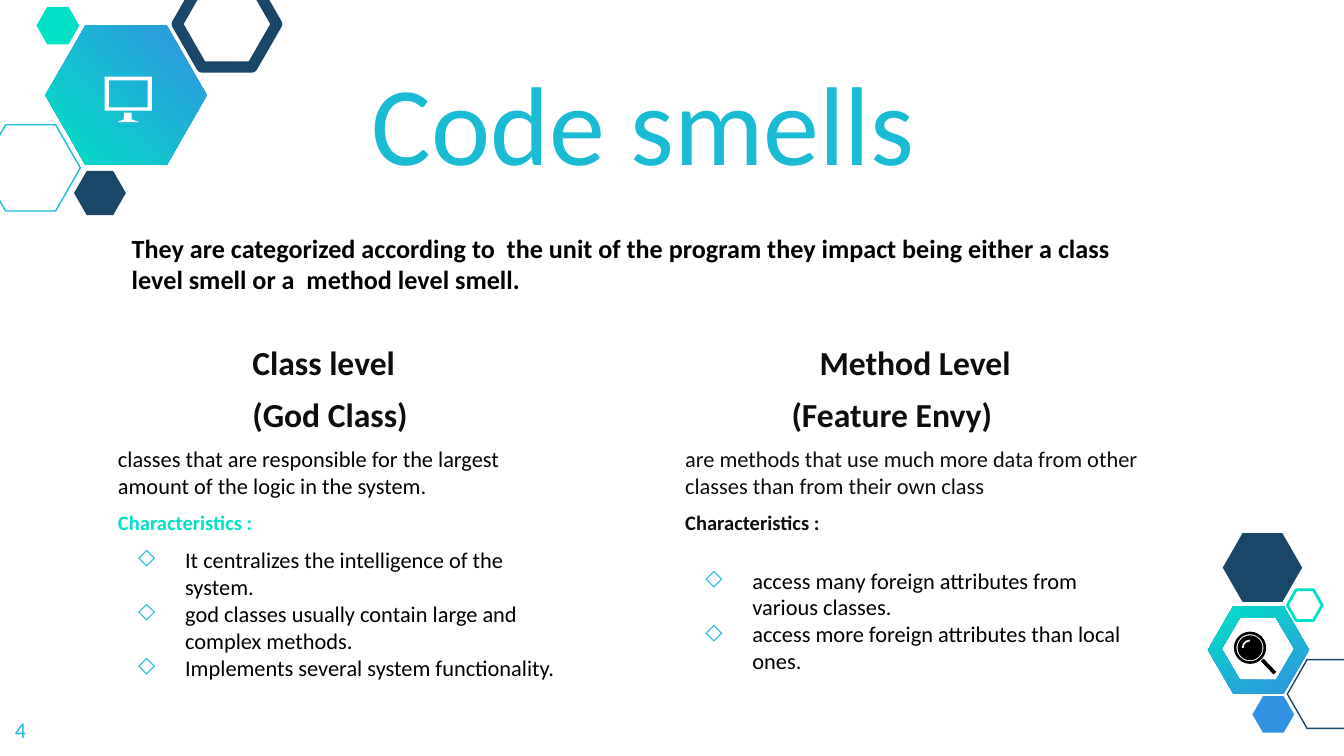
import pptx
import pptx.dml.color
import pptx.enum.shapes
import pptx.oxml.ns
import pptx.util
from lxml import etree
from pptx.util import Cm

RGBColor = pptx.dml.color.RGBColor
SHAPE = pptx.enum.shapes.MSO_SHAPE
BLACK = RGBColor(0x00, 0x00, 0x00)
INK = RGBColor(0x0D, 0x0D, 0x0D)
WHITE = RGBColor(0xFF, 0xFF, 0xFF)
NAVY = RGBColor(0x18, 0x47, 0x69)
CYAN = RGBColor(0x19, 0xBB, 0xD5)
MINT = RGBColor(0x00, 0xE1, 0xC6)
BLUE = RGBColor(0x32, 0x92, 0xE1)
FONT = "Calibri"


def paint(shape, fill=None, line=None, weight=0.75, angle=None):
    """Apply a solid, gradient or empty fill and an optional outline."""
    shape.shadow.inherit = False
    if angle is not None:
        shape.fill.gradient()
        shape.fill.gradient_angle = angle
        for stop, color in zip(shape.fill.gradient_stops, (BLUE, MINT)):
            stop.color.rgb = color
    elif fill is None:
        shape.fill.background()
    else:
        shape.fill.solid()
        shape.fill.fore_color.rgb = fill
    if line is None:
        shape.line.fill.background()
    else:
        shape.line.color.rgb = line
        shape.line.width = pptx.util.Pt(weight)


def add_preset(slide, kind, left, top, width, height, adjustments=(), **style):
    """Add a painted preset shape, measured in centimetres."""
    shape = slide.shapes.add_shape(kind, Cm(left), Cm(top), Cm(width), Cm(height))
    for index, value in enumerate(adjustments):
        shape.adjustments[index] = value
    paint(shape, **style)


def add_hexagon(slide, left, top, width, height, **style):
    """Add a regular flat-topped hexagon."""
    add_preset(slide, SHAPE.HEXAGON, left, top, width, height, (0.287,), **style)


def add_outline(slide, left, top, contours, **style):
    """Add a freeform whose contours are relative to the given corner."""
    contours = [[(Cm(left + x), Cm(top + y)) for x, y in contour] for contour in contours]
    builder = slide.shapes.build_freeform(*contours[0][0])
    for index, contour in enumerate(contours):
        if index:
            builder.move_to(*contour[0])
        builder.add_line_segments(contour[1:], close=True)
    paint(builder.convert_to_shape(), **style)


def hexagon_points(left, top, width, height):
    """Return the corners of a flat-topped hexagon."""
    steps = ((0, 0.5), (0.25, 0), (0.75, 0), (1, 0.5), (0.75, 1), (0.25, 1))
    return [(left + x * width, top + y * height) for x, y in steps]


def rectangle_points(left, top, right, bottom):
    """Return the corners of a rectangle."""
    return [(left, top), (right, top), (right, bottom), (left, bottom)]


def add_monitor(slide, left, top):
    """Draw the white monitor icon."""
    frame = [rectangle_points(0, 0, 0.89, 0.64), rectangle_points(0.08, 0.07, 0.81, 0.58)]
    stand = [(0.36, 0.68), (0.51, 0.68), (0.51, 0.81), (0.66, 0.86),
             (0.23, 0.86), (0.36, 0.81)]
    add_outline(slide, left, top, frame, fill=WHITE)
    add_outline(slide, left, top, [stand], fill=WHITE)


def add_magnifier(slide, left, top):
    """Draw the black magnifier icon."""
    handle = [(0.56, 0.51), (0.51, 0.56), (0.75, 0.81), (0.8, 0.76)]
    add_preset(slide, SHAPE.DONUT, left, top, 0.61, 0.61, (0.08,), fill=BLACK)
    add_preset(slide, SHAPE.OVAL, left + 0.07, top + 0.07, 0.47, 0.47, fill=BLACK)
    add_preset(slide, SHAPE.BLOCK_ARC, left + 0.15, top + 0.15, 0.31, 0.31,
               (108, 162, 0.11), fill=WHITE)
    add_outline(slide, left, top, [handle], fill=BLACK)


def add_top_cluster(slide, left, top):
    """Draw the hexagons of the upper left corner."""
    add_hexagon(slide, left + 0.86, top + 0.48, 3.05, 2.64, angle=225)
    add_hexagon(slide, left - 0.36, top + 2.36, 1.88, 1.63, line=CYAN)
    add_hexagon(slide, left + 1.4, top + 3.23, 0.98, 0.84, fill=NAVY)
    add_hexagon(slide, left + 3.35, top - 0.36, 1.88, 1.63, line=NAVY, weight=6)
    add_hexagon(slide, left + 0.69, top + 0.13, 0.81, 0.71, fill=MINT)
    add_monitor(slide, left + 1.98, top + 1.45)


def add_bottom_cluster(slide, left, top):
    """Draw the hexagons of the lower right corner."""
    ring = [hexagon_points(0.03, 1.46, 1.91, 1.65), hexagon_points(0.29, 1.68, 1.37, 1.17)]
    add_outline(slide, left, top, ring, angle=116)
    add_hexagon(slide, left + 1.53, top + 2.47, 1.5, 1.3, line=NAVY)
    add_hexagon(slide, left + 0.87, top + 3.16, 0.79, 0.69, fill=BLUE)
    add_hexagon(slide, left + 0.31, top + 0.08, 1.5, 1.3, fill=NAVY)
    add_hexagon(slide, left + 1.53, top + 1.15, 0.66, 0.58, line=MINT, weight=1.5)
    add_magnifier(slide, left + 0.52, top + 1.94)


def add_text(slide, left, top, width, height):
    """Add an empty wrapping text box and return its frame."""
    frame = slide.shapes.add_textbox(Cm(left), Cm(top), Cm(width), Cm(height)).text_frame
    frame.word_wrap = True
    frame.margin_left = frame.margin_right = Cm(0.25)
    frame.margin_top = frame.margin_bottom = Cm(0.25)
    return frame


def write(paragraph, text, size, color, bold=False, before=0, indent=0):
    """Fill a paragraph with one formatted run."""
    paragraph.text = text
    paragraph.space_before = pptx.util.Pt(before)
    paragraph._p.get_or_add_pPr().set("marL", str(Cm(indent)))
    font = paragraph.runs[0].font
    font.name = FONT
    font.size = pptx.util.Pt(size)
    font.bold = bold
    font.color.rgb = color


def add_bullet(paragraph):
    """Give a paragraph a hanging cyan diamond."""
    properties = paragraph._p.get_or_add_pPr()
    properties.set("indent", str(Cm(-0.89)))
    qn = pptx.oxml.ns.qn
    color = etree.SubElement(properties, qn("a:buClr"))
    etree.SubElement(color, qn("a:srgbClr"), val=str(CYAN))
    etree.SubElement(properties, qn("a:buChar"), char="◇")


def add_column(slide, left, top, width, height, headings, description,
               label_color, bullets, bullet_gap, description_color):
    """Write a smell column: headings, description and characteristics."""
    frame = add_text(slide, left, top, width, height)
    lines = [(text, 18, INK, True, 6, indent) for text, indent in headings]
    lines.append((description, 12, description_color, False, 6))
    lines.append(("Characteristics :", 11, label_color, True, 6))
    for index, line in enumerate(lines):
        write(frame.add_paragraph() if index else frame.paragraphs[0], *line)
    for index, text in enumerate(bullets):
        paragraph = frame.add_paragraph()
        write(paragraph, text, 12, BLACK, before=0 if index else bullet_gap, indent=1.27)
        add_bullet(paragraph)


def main():
    """Build and save the slide."""
    presentation = pptx.Presentation()
    presentation.slide_width, presentation.slide_height = Cm(25.4), Cm(14.29)
    slide = presentation.slides.add_slide(presentation.slide_layouts[6])
    add_top_cluster(slide, 0, 0)
    add_bottom_cluster(slide, 22.8, 10)
    write(add_text(slide, 6.78, 0.77, 14.76, 2.56).paragraphs[0], "Code smells", 60, CYAN)
    write(add_text(slide, 0.03, 13.29, 1.52, 0.99).paragraphs[0], "4", 12, CYAN)
    write(add_text(slide, 2.24, 4.14, 19.3, 2.29).paragraphs[0],
          "They are categorized according to  the unit of the program they impact "
          "being either a class level smell or a  method level smell.", 14, BLACK, True)
    add_column(slide, 1.98, 6.22, 8.86, 6.53,
               [("Class level", 2.54), ("(God Class)", 2.54)],
               "classes that are responsible for the largest amount of the logic in the system.",
               MINT,
               ["It centralizes the intelligence of the system.",
                "god classes usually contain large and complex methods.",
                "Implements several system functionality."], 6, BLACK)
    add_column(slide, 12.7, 6.22, 9.25, 6.81,
               [("Method Level", 2.54), ("(Feature Envy)", 2.01)],
               "are methods that use much more data from other classes than from their own class",
               INK,
               ["access many foreign attributes from various classes.",
                "access more foreign attributes than local ones."], 17, INK)
    presentation.save("out.pptx")


if __name__ == "__main__":
    main()
